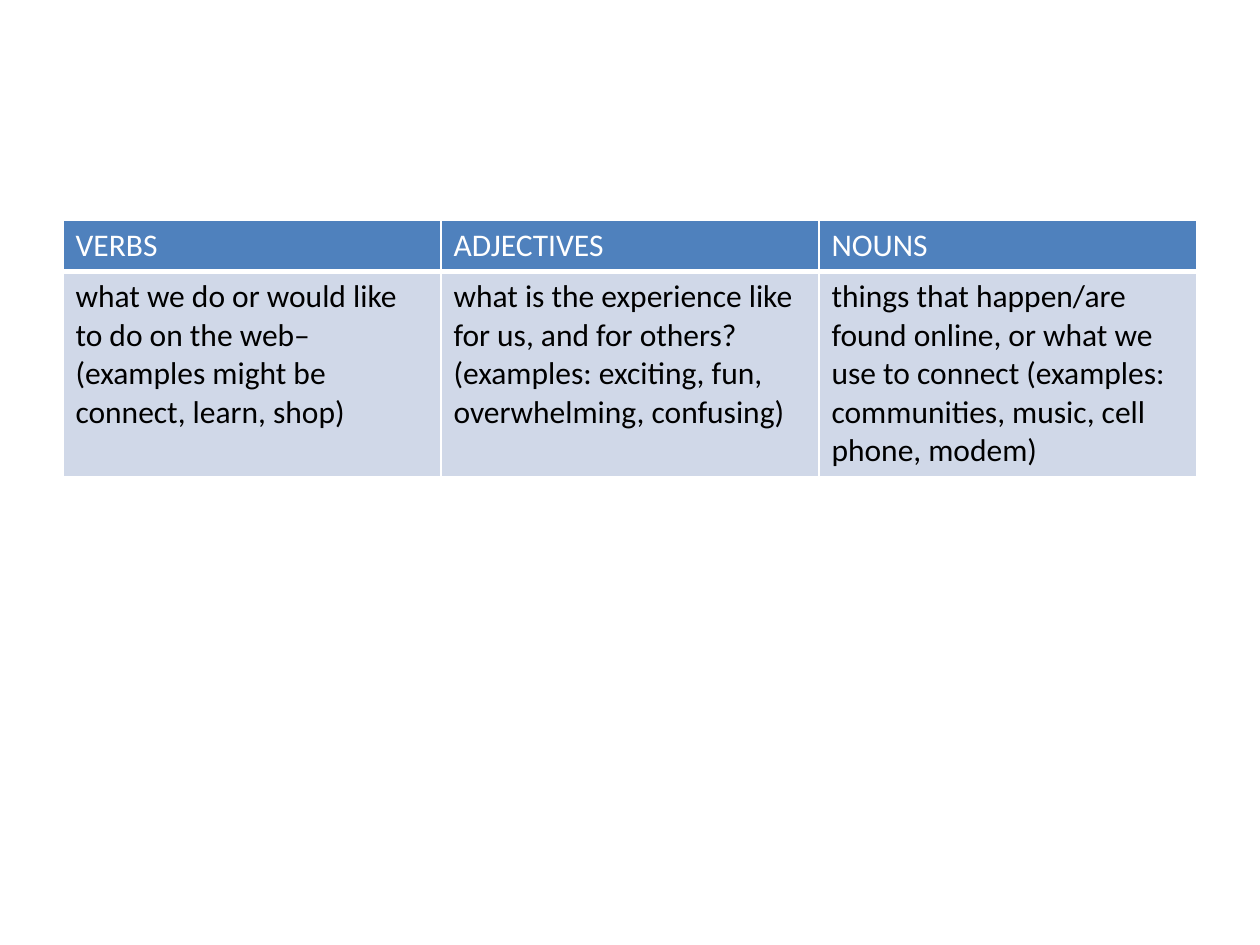
from lxml.etree import SubElement
from pptx import Presentation
from pptx.dml.color import RGBColor
from pptx.oxml.ns import qn
from pptx.util import Pt

WHITE = RGBColor(0xFF, 0xFF, 0xFF)
BLACK = RGBColor(0x00, 0x00, 0x00)
BLUE = RGBColor(0x4F, 0x81, 0xBD)
PALE_BLUE = RGBColor(0xD0, 0xD8, 0xE8)


def add_border(cell, side, width):
    line = SubElement(cell._tc.get_or_add_tcPr(), qn(f"a:ln{side}"), w=str(Pt(width)))
    fill = SubElement(line, qn("a:solidFill"))
    SubElement(fill, qn("a:srgbClr"), val=str(WHITE))


presentation = Presentation()
presentation.slide_width = Pt(720)
presentation.slide_height = Pt(540)
slide = presentation.slides.add_slide(presentation.slide_layouts[6])

word_classes = [
    ("VERBS",
     "what we do or would like to do on the web– "
     "(examples might be connect, learn, shop)"),
    ("ADJECTIVES",
     "what is the experience like for us, and for others? "
     "(examples: exciting, fun, overwhelming, confusing)"),
    ("NOUNS",
     "things that happen/are found online, or what we use to connect "
     "(examples: communities, music, cell phone, modem)"),
]
row_styles = [(28.8, BLUE, WHITE, 3), (117.2, PALE_BLUE, BLACK, 1)]

table = slide.shapes.add_table(
    len(row_styles), len(word_classes), Pt(36), Pt(126), Pt(648), Pt(146)).table

for row_index, (height, fill_color, text_color, bottom_width) in enumerate(row_styles):
    table.rows[row_index].height = Pt(height)
    for column_index, texts in enumerate(word_classes):
        cell = table.cell(row_index, column_index)
        for side, width in (("L", 1), ("R", 1), ("T", 1), ("B", bottom_width)):
            add_border(cell, side, width)
        cell.fill.solid()
        cell.fill.fore_color.rgb = fill_color
        run = cell.text_frame.paragraphs[0].add_run()
        run.text = texts[row_index]
        run.font.name = "Calibri"
        run.font.size = Pt(18)
        run.font.bold = False
        run.font.color.rgb = text_color

presentation.save("out.pptx")
